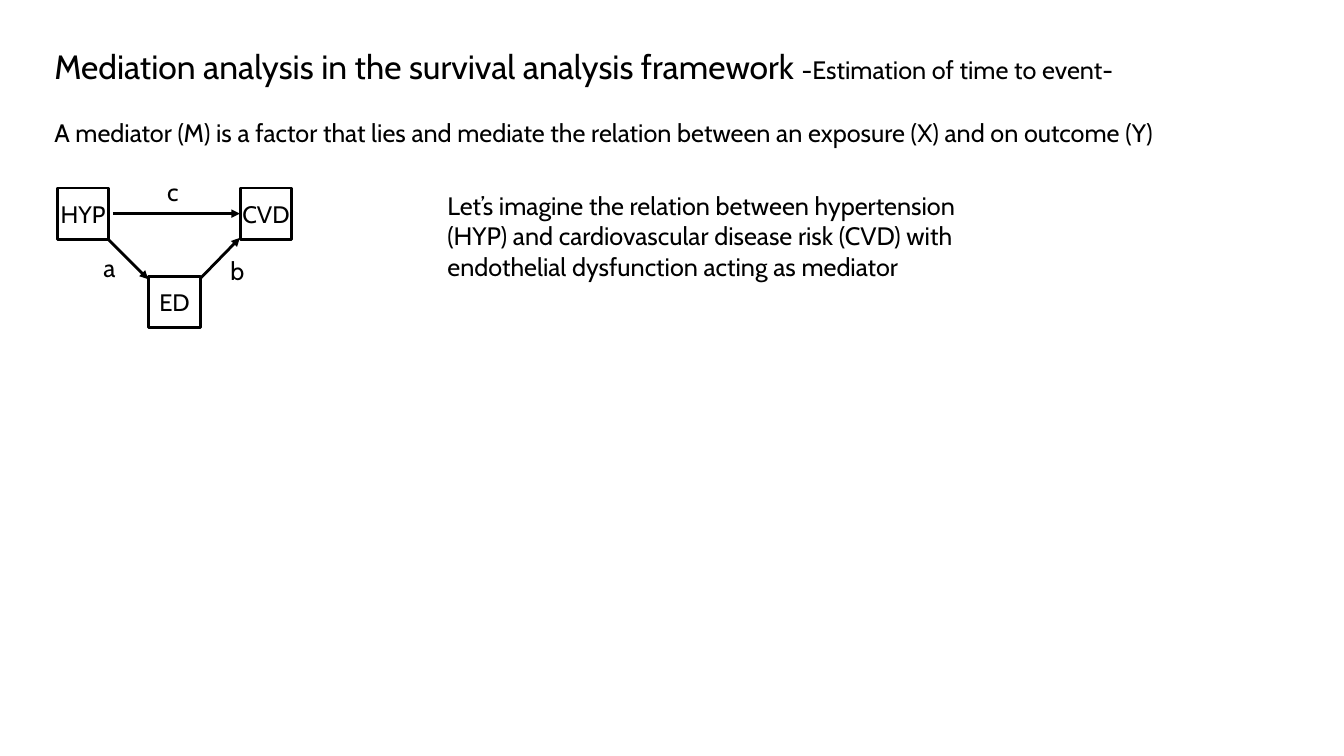
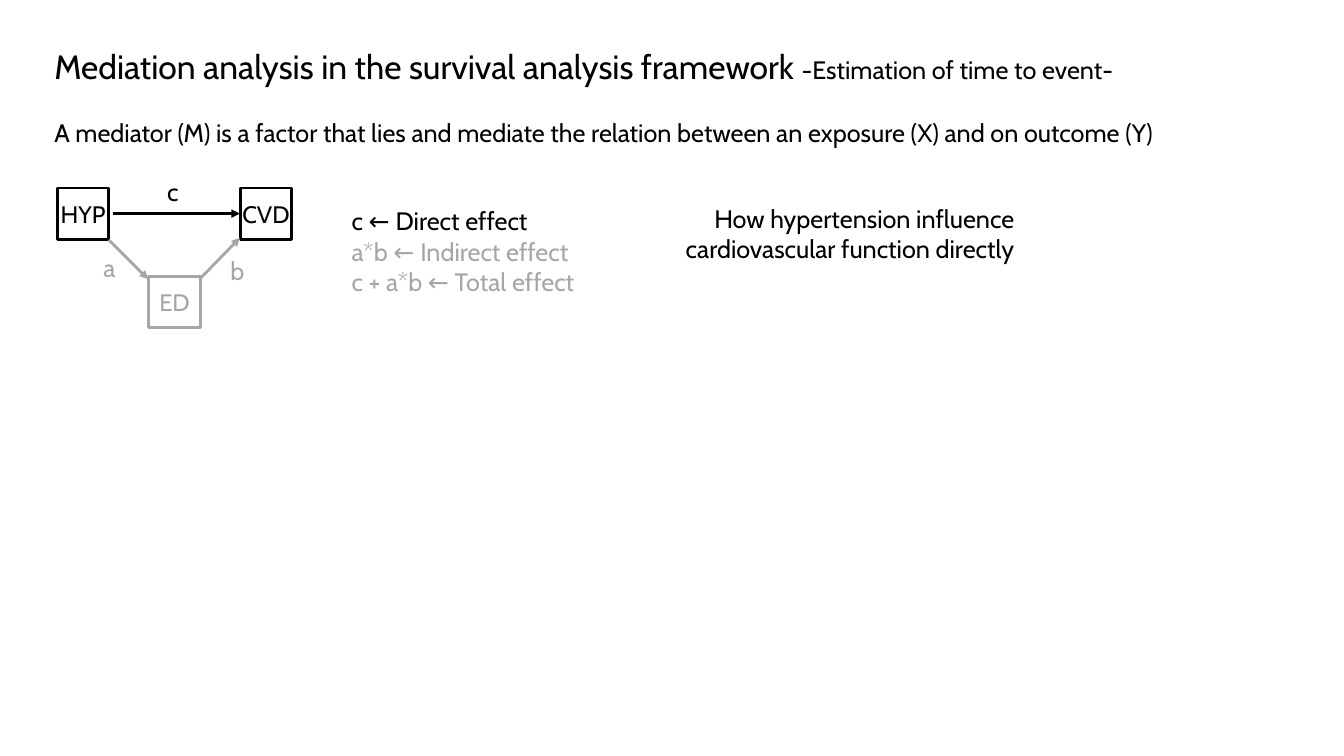
from lxml import etree
from pptx import Presentation
from pptx.dml.color import RGBColor
from pptx.enum.shapes import MSO_CONNECTOR, MSO_SHAPE
from pptx.enum.text import MSO_ANCHOR, PP_ALIGN
from pptx.oxml.ns import qn
from pptx.util import Inches, Pt

W, H = Inches(13.33), Inches(7.5)
COL, ROW = W / 40, H / 30
FONT = "Cabin"
BLACK, GREY, WHITE = "000000", "A6A6A6", "FFFFFF"
BODY, TITLE, NODE_TEXT, LINE = 18, 24, 17, 2
LEFT, CENTER, RIGHT = PP_ALIGN.LEFT, PP_ALIGN.CENTER, PP_ALIGN.RIGHT
RECT, STRAIGHT = MSO_SHAPE.RECTANGLE, MSO_CONNECTOR.STRAIGHT
MIDDLE = MSO_ANCHOR.MIDDLE

NODE_W, NODE_H = 1.53, 2.04
NODE_X, NODE_STEP = 1.71, 2.72
UPPER, LOWER = 7.46, 10.96
NODES = [("HYP", UPPER), ("ED", LOWER), ("CVD", UPPER)]
PATHS = [
    ("a", (3.24, 9.52), (4.41, 11.08), (2.73, 9.8)),
    ("b", (5.97, 11.04), (7.14, 9.44), (6.54, 9.92)),
    ("c", (3.36, 8.48), (7.14, 8.48), (4.62, 6.8)),
]
MEDIATION = {"ED", "a", "b"}


def rgb(color):
    return RGBColor.from_string(color)


def grid(x, y):
    return round(x * COL), round(y * ROW)


def add_run(p, text, size=BODY, color=BLACK):
    r = p.add_run()
    r.text = text
    r.font.name = FONT
    r.font.size = Pt(size)
    r.font.color.rgb = rgb(color)


def add_text(s, x, y, w, h, paragraphs, align=LEFT, gap=0):
    tf = s.shapes.add_textbox(*grid(x, y), *grid(w, h)).text_frame
    tf.word_wrap = True
    for i, runs in enumerate(paragraphs):
        p = tf.add_paragraph() if i else tf.paragraphs[0]
        p.alignment = align
        p.space_before = Pt(gap if i else 0)
        for run in runs:
            add_run(p, *run)


def add_node(s, x, y, name, color):
    sp = s.shapes.add_shape(RECT, *grid(x, y), *grid(NODE_W, NODE_H))
    sp.shadow.inherit = False
    sp.fill.solid()
    sp.fill.fore_color.rgb = rgb(WHITE)
    sp.line.color.rgb = rgb(color)
    sp.line.width = Pt(LINE)
    tf = sp.text_frame
    tf.word_wrap = False
    tf.vertical_anchor = MIDDLE
    tf.margin_left = tf.margin_right = tf.margin_top = tf.margin_bottom = 0
    p = tf.paragraphs[0]
    p.alignment = CENTER
    add_run(p, name, NODE_TEXT, color)


def add_arrow(s, start, end, color):
    arrow = s.shapes.add_connector(STRAIGHT, *grid(*start), *grid(*end))
    arrow.line.color.rgb = rgb(color)
    arrow.line.width = Pt(LINE)
    ln = arrow.line._get_or_add_ln()
    etree.SubElement(ln, qn("a:tailEnd"), type="triangle")
    etree.SubElement(arrow._element.spPr, qn("a:effectLst"))


def add_diagram(s, faded):
    def color(name):
        return GREY if name in faded else BLACK

    for i, (name, y) in enumerate(NODES):
        add_node(s, NODE_X + i * NODE_STEP, y, name, color(name))
    for name, start, end, label in PATHS:
        add_arrow(s, start, end, color(name))
        add_text(s, *label, 1.05, 1.6, [[(name, BODY, color(name))]], CENTER)


def add_slide(prs, faded=()):
    s = prs.slides.add_slide(prs.slide_layouts[6])
    add_text(s, 1.32, 1.64, 38.68, 4.44, [
        [("Mediation analysis in the survival analysis framework ", TITLE),
         ("-Estimation of time to event-",)],
        [("A mediator (M) is a factor that lies and mediate the relation "
          "between an exposure (X) and on outcome (Y)",)],
    ], gap=22)
    add_diagram(s, faded)
    return s


def main():
    prs = Presentation()
    prs.slide_width, prs.slide_height = W, H

    s = add_slide(prs)
    add_text(s, 13.02, 7.36, 16.86, 4.04, [[(
        "Let’s imagine the relation between hypertension (HYP) and "
        "cardiovascular disease risk (CVD) with endothelial dysfunction "
        "acting as mediator",)]])

    s = add_slide(prs, MEDIATION)
    add_text(s, 10.17, 7.96, 9.36, 4.04, [
        [("c ← Direct effect",)],
        [("a*b ← Indirect effect", BODY, GREY)],
        [("c + a*b ← Total effect", BODY, GREY)],
    ])
    add_text(s, 19.56, 7.88, 10.92, 2.84, [[(
        "How hypertension influence cardiovascular function directly",)]], RIGHT)

    prs.save("out.pptx")


if __name__ == "__main__":
    main()
